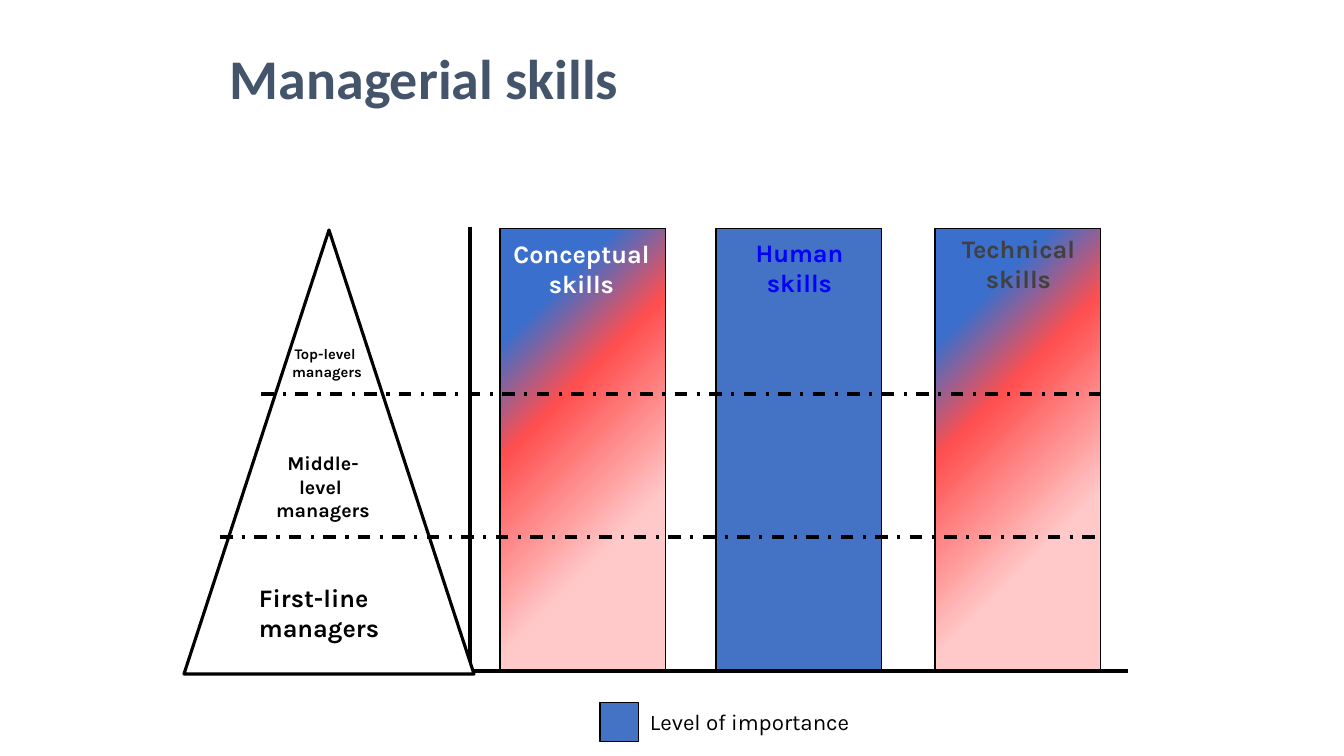
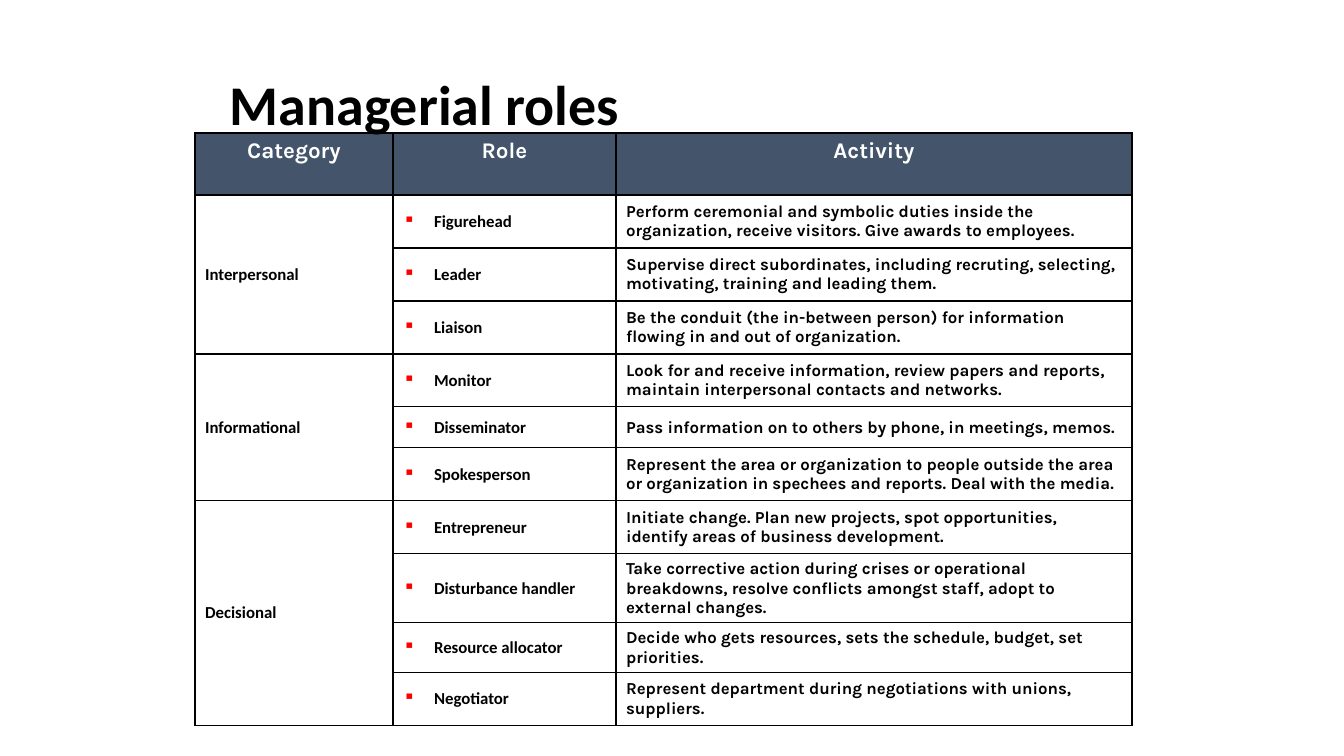
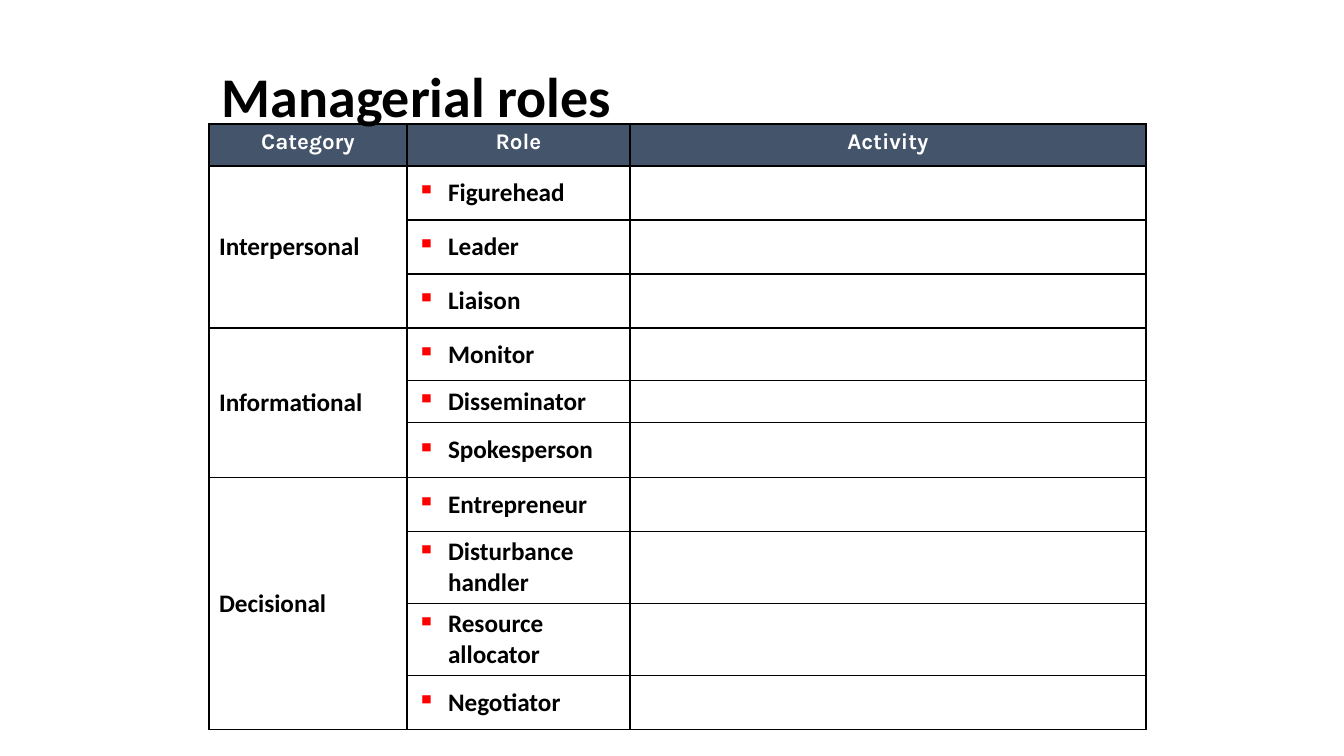
from itertools import accumulate

from lxml.etree import SubElement
from pptx import Presentation
from pptx.dml.color import RGBColor
from pptx.enum.dml import MSO_LINE
from pptx.enum.shapes import MSO_CONNECTOR, MSO_SHAPE
from pptx.enum.text import MSO_ANCHOR, PP_ALIGN
from pptx.oxml import parse_xml
from pptx.oxml.ns import nsdecls, qn
from pptx.util import Pt

PX = 914400 / 100.8
BLACK, WHITE, SLATE, BLUE, RED = "000000", "FFFFFF", "44546A", "4472C4", "FF0000"
HEADING, BODY = "Calibri", "Karla"

# Skills chart: label, left, label left, label top, label colour, graded fill
BAR_TOP, BAR_W, BAR_H = 229, 166, 441
SKILLS = [
    ("Conceptual\nskills", 500, 500, 233, WHITE, True),
    ("Human\nskills", 716, 718, 232, "0000FF", False),
    ("Technical\nskills", 935, 937, 228, "404040", True),
]
GRADIENT = [(29, "FFC9C9"), (62, "FF4F4F"), (81, "3A6FCE")]
AXES = [(470, 227, 470, 671), (1128, 671, 470, 671)]
LEVEL_LINES = [(261, 394, 1101, 394), (220, 537, 1102, 537)]
# text, box, size, alignment
LEVELS = [
    ("Top-level \vmanagers", (276, 340, 102, 45), 10.5, PP_ALIGN.CENTER),
    ("Middle-level \vmanagers", (261, 446, 124, 82), 14, PP_ALIGN.CENTER),
    ("First-line managers", (249, 577, 210, 72), 18, PP_ALIGN.LEFT),
]

HEADERS = ["Category", "Role", "Activity"]
COLUMNS = [198, 223, 516]
ROLES = {
    "Interpersonal": [
        ("Figurehead", "Perform ceremonial and symbolic duties inside the organization, "
                       "receive visitors. Give awards to employees."),
        ("Leader", "Supervise direct subordinates, including recruting, selecting, "
                   "motivating, training and leading them."),
        ("Liaison", "Be the conduit (the in-between person) for information flowing "
                    "in and out of organization."),
    ],
    "Informational": [
        ("Monitor", "Look for and receive information, review papers and reports, "
                    "maintain interpersonal contacts and networks."),
        ("Disseminator", "Pass information on to others by phone, in meetings, memos."),
        ("Spokesperson", "Represent the area or organization to people outside the area "
                         "or organization in spechees and reports. Deal with the media."),
    ],
    "Decisional": [
        ("Entrepreneur", "Initiate change. Plan new projects, spot opportunities, "
                         "identify areas of business development."),
        ("Disturbance handler", "Take corrective action during crises or operational "
                                "breakdowns, resolve conflicts amongst staff, adopt to "
                                "external changes."),
        ("Resource allocator", "Decide who gets resources, sets the schedule, budget, "
                               "set priorities."),
        ("Negotiator", "Represent department during negotiations with unions, suppliers."),
    ],
}
ROLE_SLIDES = [
    dict(title=(220, 44, 940, 126), origin=(195, 133), size=12, activities=True,
         rows=[62, 53, 53, 53, 53, 41, 53, 53, 69, 49, 53]),
    dict(title=(212, 36, 940, 126), origin=(209, 124), size=18, activities=False,
         rows=[42, 54, 54, 54, 53, 42, 55, 54, 71, 72, 54]),
]


def px(n):
    return round(n * PX)


def rgb(color):
    return RGBColor.from_string(color)


def style(tf, size, font, color, bold=True, align=PP_ALIGN.LEFT):
    for p in tf.paragraphs:
        p.alignment = align
        for r in p.runs:
            r.font.size, r.font.name, r.font.bold = Pt(size), font, bold
            r.font.color.rgb = rgb(color)


def add_text(s, text, box, size, font=BODY, color=BLACK, bold=True,
             align=PP_ALIGN.LEFT, anchor=MSO_ANCHOR.TOP):
    tf = s.shapes.add_textbox(*map(px, box)).text_frame
    tf.word_wrap = True
    tf.vertical_anchor = anchor
    tf.text = text
    style(tf, size, font, color, bold, align)
    return tf


def add_title(s, text, box, color=BLACK, anchor=MSO_ANCHOR.MIDDLE):
    return add_text(s, text, box, 40, HEADING, color, anchor=anchor)


def add_shape(s, kind, box, fill, line=0.75):
    sp = s.shapes.add_shape(kind, *map(px, box))
    sp.shadow.inherit = False
    sp.fill.solid()
    sp.fill.fore_color.rgb = rgb(fill)
    sp.line.color.rgb = rgb(BLACK)
    sp.line.width = Pt(line)
    return sp


def add_line(s, ends, dash=None):
    line = s.shapes.add_connector(MSO_CONNECTOR.STRAIGHT, *map(px, ends))
    line.line.color.rgb = rgb(BLACK)
    line.line.width = Pt(2.25)
    if dash:
        line.line.dash_style = dash
    SubElement(line._element.spPr, qn("a:effectLst"))


def grade(sp):
    """Replace the solid fill by a gradient centred on the bottom right corner."""
    stops = "".join(f'<a:gs pos="{pos * 1000}"><a:srgbClr val="{c}"/></a:gs>'
                    for pos, c in GRADIENT)
    solid = sp._element.spPr.find(qn("a:solidFill"))
    solid.getparent().replace(solid, parse_xml(
        f'<a:gradFill {nsdecls("a")} rotWithShape="1"><a:gsLst>{stops}</a:gsLst>'
        '<a:path path="circle"><a:fillToRect l="100000" t="100000"/></a:path>'
        '</a:gradFill>'))


def add_bullet(p):
    pPr = p._p.get_or_add_pPr()
    pPr.set("marL", str(px(31)))
    pPr.set("indent", str(px(-31)))
    SubElement(SubElement(pPr, qn("a:buClr")), qn("a:srgbClr"), val=RED)
    SubElement(pPr, qn("a:buChar"), char="▪")


def fill_cell(cell, text, size, font, color=BLACK, fill=WHITE,
              align=PP_ALIGN.LEFT, anchor=MSO_ANCHOR.MIDDLE, bullet=False):
    cell.fill.solid()
    cell.fill.fore_color.rgb = rgb(fill)
    cell.vertical_anchor = anchor
    tcPr = cell._tc.get_or_add_tcPr()
    for i, side in enumerate("LRTB"):
        tcPr.insert(i, parse_xml(
            f'<a:ln{side} {nsdecls("a")} w="12700"><a:solidFill>'
            f'<a:srgbClr val="{BLACK}"/></a:solidFill></a:ln{side}>'))
    if text:
        cell.text_frame.text = text
        if bullet:
            add_bullet(cell.text_frame.paragraphs[0])
        style(cell.text_frame, size, font, color, align=align)


def add_roles_table(s, origin, rows, size, activities):
    box = (*origin, sum(COLUMNS), sum(rows))
    table = s.shapes.add_table(len(rows), len(COLUMNS), *map(px, box)).table
    table.first_row = table.horz_banding = False
    for column, w in zip(table.columns, COLUMNS):
        column.width = px(w)
    for row, h in zip(table.rows, rows):
        row.height = px(h)
    for c, header in enumerate(HEADERS):
        fill_cell(table.cell(0, c), header, 16, BODY, WHITE, SLATE,
                  PP_ALIGN.CENTER, MSO_ANCHOR.TOP)
    starts = accumulate(map(len, ROLES.values()), initial=1)
    for top, (category, roles) in zip(starts, ROLES.items()):
        for i, (role, activity) in enumerate(roles):
            fill_cell(table.cell(top + i, 0), "" if i else category, size, HEADING)
            fill_cell(table.cell(top + i, 1), role, size, HEADING, bullet=True)
            fill_cell(table.cell(top + i, 2), activity if activities else "", size, BODY)
        table.cell(top, 0).merge(table.cell(top + len(roles) - 1, 0))


def build_skills(s):
    add_title(s, "Managerial skills", (220, 43, 882, 73), SLATE, MSO_ANCHOR.BOTTOM)
    for axis in AXES:
        add_line(s, axis)
    for label, left, label_left, label_top, color, graded in SKILLS:
        bar = add_shape(s, MSO_SHAPE.RECTANGLE, (left, BAR_TOP, BAR_W, BAR_H), BLUE)
        if graded:
            grade(bar)
        add_text(s, label, (label_left, label_top, 163, 72), 18, color=color,
                 align=PP_ALIGN.CENTER)
    add_shape(s, MSO_SHAPE.RECTANGLE, (600, 703, 39, 39), BLUE)
    add_text(s, "Level of importance", (640, 703, 286, 37), 16, bold=False)
    add_shape(s, MSO_SHAPE.ISOSCELES_TRIANGLE, (184, 230, 290, 444), WHITE, 2.25)
    for ends in LEVEL_LINES:
        add_line(s, ends, MSO_LINE.DASH_DOT)
    for text, box, size, align in LEVELS:
        add_text(s, text, box, size, align=align)


def build_roles(s, title, origin, rows, size, activities):
    add_roles_table(s, origin, rows, size, activities)
    add_title(s, "Managerial roles", title).paragraphs[0].line_spacing = 0.9


def main():
    prs = Presentation()
    prs.slide_width, prs.slide_height = px(1344), px(756)
    blank = prs.slide_layouts[6]
    build_skills(prs.slides.add_slide(blank))
    for roles in ROLE_SLIDES:
        build_roles(prs.slides.add_slide(blank), **roles)
    prs.save("out.pptx")


if __name__ == "__main__":
    main()
